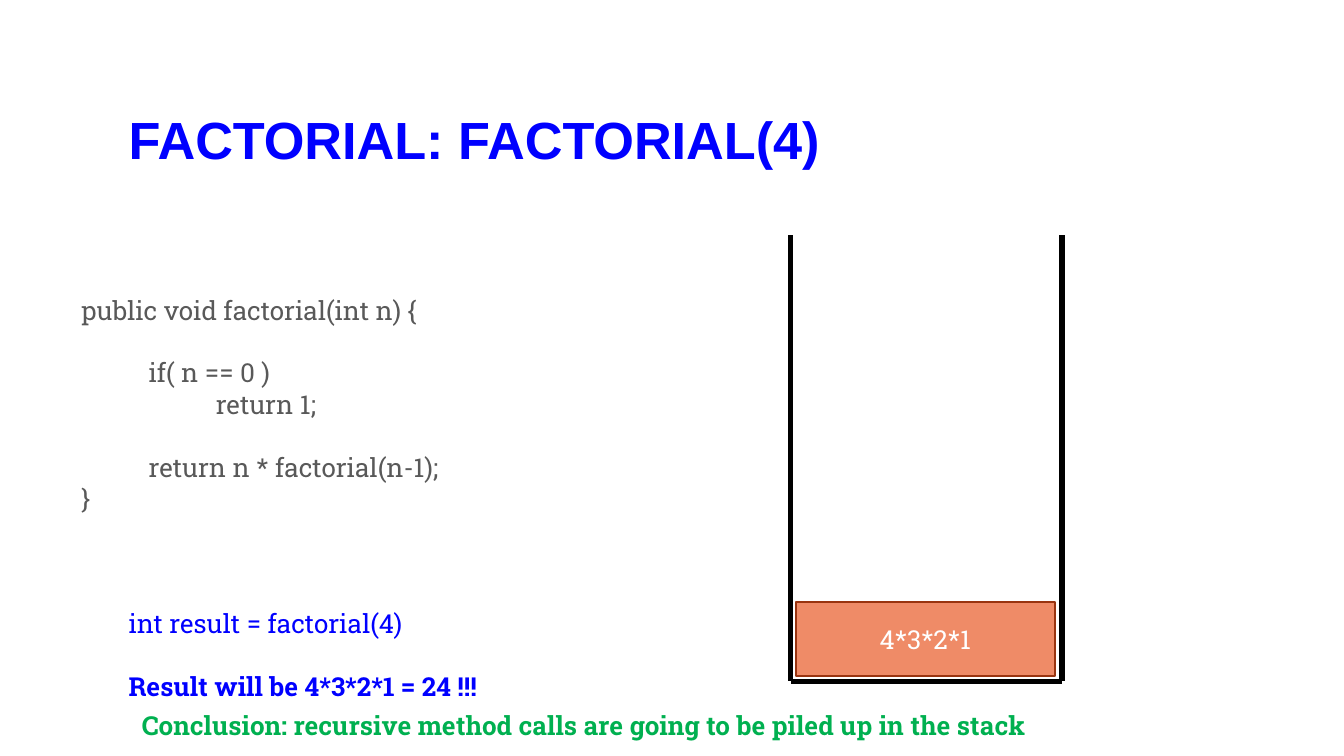
from dataclasses import dataclass

from lxml import etree
from pptx import Presentation
from pptx.dml.color import RGBColor
from pptx.enum import shapes, text
from pptx.oxml import ns
from pptx.util import Cm, Pt


@dataclass(frozen=True)
class Theme:
    """Colours, fonts and sizes of the slide."""
    heading: str = "Arial"
    body: str = "Roboto Slab"
    title_size: float = 28
    size: float = 14
    gap: float = 16.8
    wall: float = 3
    outline: float = 1
    blue: str = "0000FF"
    grey: str = "595959"
    green: str = "00B050"
    white: str = "FFFFFF"
    black: str = "000000"
    orange: str = "EF8B67"
    rust: str = "993410"


THEME = Theme()


def rgb(value):
    """Turn a hex string into a colour."""
    return RGBColor.from_string(value)


def set_frame(tf, anchor=text.MSO_ANCHOR.TOP):
    """Give a text frame the slide's margins, wrapping and anchor."""
    tf.word_wrap = True
    tf.auto_size = text.MSO_AUTO_SIZE.NONE
    tf.vertical_anchor = anchor
    tf.margin_left = tf.margin_right = Cm(0.19)
    tf.margin_top = tf.margin_bottom = Cm(0.1)


def add_run(p, words, color, bold=False, font=THEME.body, size=THEME.size):
    """Append one formatted run to a paragraph."""
    r = p.add_run()
    r.text = words
    r.font.name, r.font.size, r.font.bold = font, Pt(size), bold
    r.font.color.rgb = rgb(color)


def add_title(s, box, words):
    """Place and format the title placeholder."""
    sp = s.shapes.title
    sp.left, sp.top, sp.width, sp.height = map(Cm, box)
    set_frame(sp.text_frame, text.MSO_ANCHOR.MIDDLE)
    p = sp.text_frame.paragraphs[0]
    p.alignment = text.PP_ALIGN.LEFT
    p.line_spacing = 0.9
    add_run(p, words, THEME.blue, True, THEME.heading, THEME.title_size)


def add_text(s, box, lines, color):
    """Add a text box from (words, bold, gap before) lines."""
    tf = s.shapes.add_textbox(*map(Cm, box)).text_frame
    set_frame(tf)
    for i, (words, bold, gap) in enumerate(lines):
        p = tf.add_paragraph() if i else tf.paragraphs[0]
        if gap:
            p.space_before = Pt(THEME.gap)
        add_run(p, words, color, bold)


def add_wall(s, x1, y1, x2, y2):
    """Draw one straight side of the stack."""
    line = s.shapes.add_connector(shapes.MSO_CONNECTOR.STRAIGHT,
                                  Cm(x1), Cm(y1), Cm(x2), Cm(y2))
    line.line.color.rgb = rgb(THEME.black)
    line.line.width = Pt(THEME.wall)
    etree.SubElement(line._element.spPr, ns.qn("a:effectLst"))


def add_stack(s, box, words):
    """Draw an open stack with one call at its bottom."""
    left, top, width, height = box
    right, bottom = left + width, top + height
    for x in (left, right):
        add_wall(s, x, top, x, bottom)
    add_wall(s, left, bottom, right, bottom)

    pad, call_height = 0.1, 1.4
    sp = s.shapes.add_shape(shapes.MSO_SHAPE.RECTANGLE, Cm(left + pad),
                            Cm(bottom - pad - call_height),
                            Cm(width - 2.3 * pad), Cm(call_height))
    sp.shadow.inherit = False
    sp.fill.solid()
    sp.fill.fore_color.rgb = rgb(THEME.orange)
    sp.line.color.rgb = rgb(THEME.rust)
    sp.line.width = Pt(THEME.outline)
    set_frame(sp.text_frame, text.MSO_ANCHOR.MIDDLE)
    p = sp.text_frame.paragraphs[0]
    p.alignment = text.PP_ALIGN.CENTER
    add_run(p, words, THEME.white)


def main():
    """Build the slide and save it."""
    prs = Presentation()
    prs.slide_width, prs.slide_height = Cm(25.4), Cm(14.29)
    s = prs.slides.add_slide(prs.slide_layouts.get_by_name("Title Only"))
    add_title(s, (2.24, 1.02, 20.96, 3.35), "FACTORIAL: FACTORIAL(4)")
    add_text(s, (1.35, 5.46, 7.7, 4.24), [
        ("public void factorial(int n) {", False, False),
        ("\tif( n == 0 )", False, True),
        ("\t\treturn 1;", False, False),
        ("\treturn n * factorial(n-1);", False, True),
        ("}", False, False),
    ], THEME.grey)
    add_stack(s, (14.94, 4.45, 5.13, 8.43), "4*3*2*1")
    add_text(s, (2.24, 11.38, 8.46, 1.93), [
        ("int result = factorial(4)", False, False),
        ("Result will be 4*3*2*1 = 24 !!!", True, True),
    ], THEME.blue)
    add_text(s, (2.49, 13.31, 19.08, 0.76), [
        ("Conclusion: recursive method calls are going to be piled up in the stack",
         True, False),
    ], THEME.green)
    prs.save("out.pptx")


if __name__ == "__main__":
    main()
